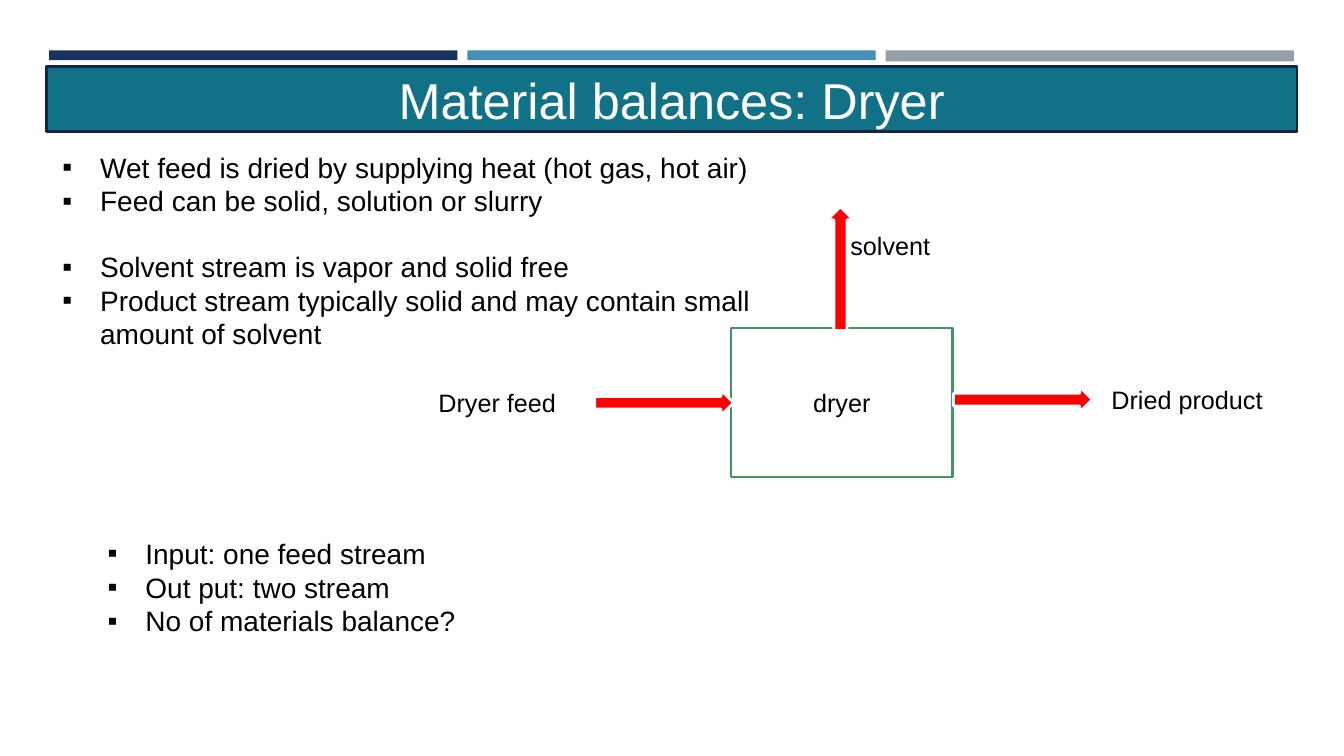
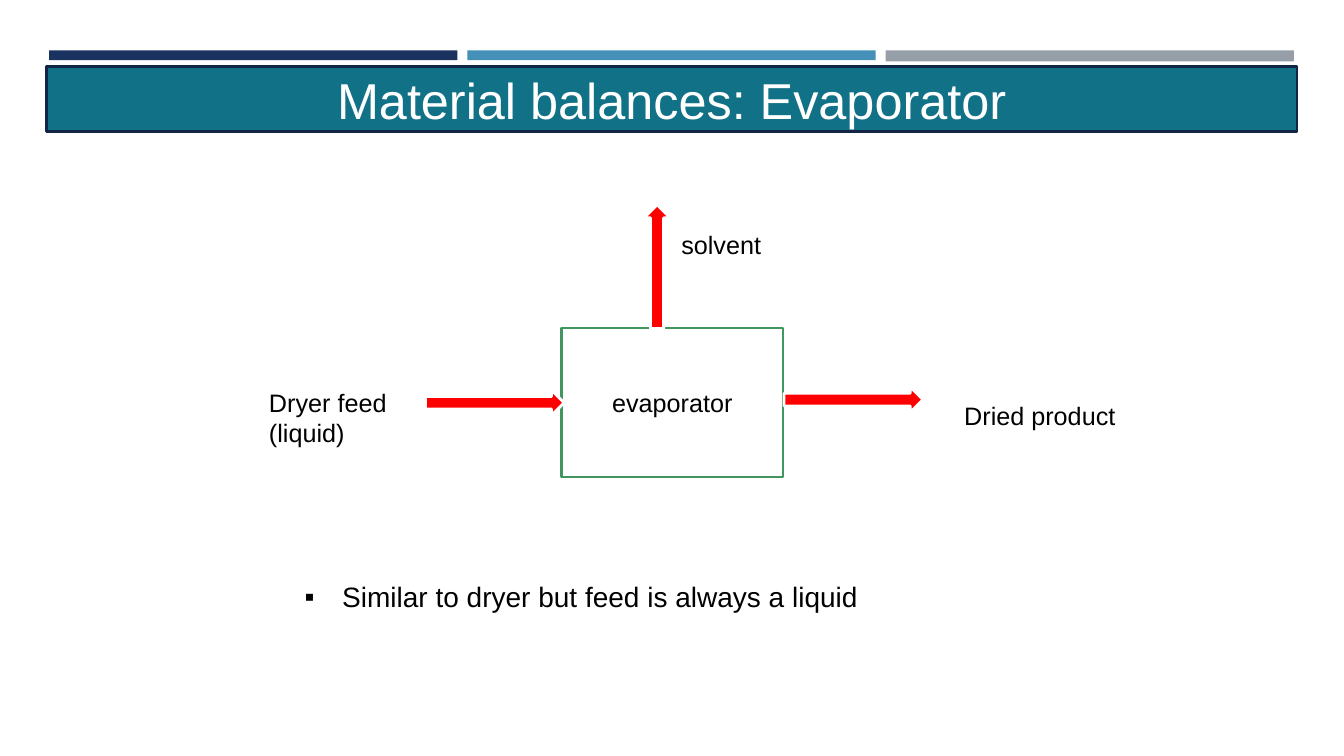
import pptx
import pptx.util
import pptx.dml.color
import pptx.enum.shapes
import pptx.enum.text
import pptx.oxml
import pptx.oxml.ns
from lxml import etree

Cm, Pt = pptx.util.Cm, pptx.util.Pt
SHAPE = pptx.enum.shapes.MSO_SHAPE
ALIGN = pptx.enum.text.PP_ALIGN
ANCHOR = pptx.enum.text.MSO_ANCHOR
FONT = "Arial"
COLORS = {
    "navy": "1A3260", "blue": "4590B8", "gray": "969FA7",
    "teal": "117186", "title edge": "132547", "unit edge": "42955F",
    "stream": "FF0000", "white": "FFFFFF", "text": "000000",
}
BANDS = [("navy", 0.25), ("blue", 0.25), ("gray", 0.28)]  # colour, height
BAND_LEFT, BAND_TOP, BAND_WIDTH, BAND_PITCH = 1.24, 1.27, 10.29, 10.54
TITLE_BOX = (1.17, 1.68, 31.52, 1.63)
UNIT_TOP, UNIT_WIDTH, UNIT_HEIGHT = 8.26, 5.59, 3.76
LAYOUTS = {1: 1, 2: 3}  # number of lists: layout with as many bodies

# Horizontal places in a diagram are measured from the left of its unit;
# a list holds its box, its lines and the lines that follow a gap.
SLIDES = [
    {
        "title": "Material balances: Dryer",
        "unit": "dryer",
        "unit_left": 18.42,
        "vapor_arrow": (2.43, 5.21),
        "labels": [
            (["Dryer feed"], (-7.62, 9.63, 3.91, 1.02)),
            (["solvent"], (2.76, 5.69, 2.8, 1.02)),
            (["Dried product"], (9.34, 9.55, 4.6, 1.02)),
        ],
        "lists": [
            ((1.32, 3.66, 17.91, 5.38), [
                "Wet feed is dried by supplying heat (hot gas, hot air)",
                "Feed can be solid, solution or slurry",
                "Solvent stream is vapor and solid free",
                "Product stream typically solid and may contain small "
                "amount of solvent",
            ], {2}),
            ((2.46, 13.39, 9.6, 2.82), [
                "Input: one feed stream",
                "Out put: two stream",
                "No of materials balance?",
            ], set()),
        ],
    },
    {
        "title": "Material balances: Evaporator",
        "unit": "evaporator",
        "unit_left": 14.15,
        "vapor_arrow": (2.08, 5.16),
        "labels": [
            (["Dryer feed", "(liquid)"], (-7.62, 9.63, 3.91, 1.8)),
            (["solvent"], (2.77, 5.66, 2.8, 1.02)),
            (["Dried product"], (9.9, 9.96, 4.6, 1.02)),
        ],
        "lists": [
            ((7.42, 14.48, 15, 1.12),
             ["Similar to dryer but feed is always a liquid"], set()),
        ],
    },
]


def rgb(name):
    return pptx.dml.color.RGBColor.from_string(COLORS[name])


def place(shape, box):
    shape.left, shape.top, shape.width, shape.height = map(Cm, box)


def paint(shape, fill, edge=None, edge_width=1.75):
    shape.fill.solid()
    shape.fill.fore_color.rgb = rgb(fill)
    if edge:
        shape.line.color.rgb = rgb(edge)
        shape.line.width = Pt(edge_width)
    else:
        shape.line.fill.background()


def add_shape(slide, kind, box, *colors):
    shape = slide.shapes.add_shape(kind, *map(Cm, box))
    shape.shadow.inherit = False
    paint(shape, *colors)
    return shape


def add_bullet(paragraph):
    properties = paragraph._p.get_or_add_pPr()
    properties.set("marL", str(Cm(0.95)))
    properties.set("indent", str(-Cm(0.95)))
    for tag, attribute, value in [("a:buFont", "typeface", FONT),
                                  ("a:buChar", "char", "▪")]:
        etree.SubElement(properties, pptx.oxml.ns.qn(tag)).set(attribute, value)


def write_text(shape, lines, size=18, color="text", align=ALIGN.LEFT,
               anchor=ANCHOR.TOP, bullets=False, gaps=()):
    """Fill the shape; gaps holds the indexes of lines set apart from above."""
    frame = shape.text_frame
    frame.word_wrap = True
    frame.auto_size = pptx.enum.text.MSO_AUTO_SIZE.NONE
    frame.vertical_anchor = anchor
    for index, line in enumerate(lines):
        paragraph = frame.add_paragraph() if index else frame.paragraphs[0]
        if bullets:
            add_bullet(paragraph)
        paragraph.alignment = align
        paragraph.line_spacing = 1.0
        paragraph.space_before = Pt(23 if index in gaps else 0)
        run = paragraph.add_run()
        run.text = line
        run.font.name, run.font.size = FONT, Pt(size)
        run.font.color.rgb = rgb(color)


def add_bands_to_master(prs, slide):
    """Draw the bands on a slide, then move them behind the master's parts."""
    for column, (color, height) in enumerate(BANDS):
        left = BAND_LEFT + column * BAND_PITCH
        band = add_shape(slide, SHAPE.RECTANGLE,
                         (left, BAND_TOP, BAND_WIDTH, height), color)
        prs.slide_master.shapes.element.insert(2 + column, band.element)


def add_diagram(slide, content):
    left = content["unit_left"]
    unit = add_shape(slide, SHAPE.RECTANGLE,
                     (left, UNIT_TOP, UNIT_WIDTH, UNIT_HEIGHT),
                     "white", "unit edge")
    write_text(unit, [content["unit"]], align=ALIGN.CENTER,
               anchor=ANCHOR.MIDDLE)
    vapor_offset, vapor_top = content["vapor_arrow"]
    for kind, offset, top, width, height in [
        (SHAPE.UP_ARROW, vapor_offset, vapor_top, 0.66, 3.12),
        (SHAPE.RIGHT_ARROW, -3.43, 9.83, 3.5, 0.64),
        (SHAPE.RIGHT_ARROW, 5.61, 9.75, 3.5, 0.64),
    ]:
        add_shape(slide, kind, (left + offset, top, width, height),
                  "stream", "white", 2)
    for lines, (offset, *rest) in content["labels"]:
        label = slide.shapes.add_textbox(*map(Cm, (left + offset, *rest)))
        write_text(label, lines)


def add_slide(prs, content):
    layout = prs.slide_layouts[LAYOUTS[len(content["lists"])]]
    slide = prs.slides.add_slide(layout)
    title, *bodies = slide.placeholders
    place(title, TITLE_BOX)
    paint(title, "teal", "title edge")
    write_text(title, [content["title"]], size=36, color="white",
               align=ALIGN.CENTER, anchor=ANCHOR.MIDDLE)
    for body, (box, lines, gaps) in zip(bodies, content["lists"]):
        place(body, box)
        write_text(body, lines, size=20, bullets=True, gaps=gaps)
    add_diagram(slide, content)
    return slide


def main():
    prs = pptx.Presentation()
    prs.slide_width, prs.slide_height = Cm(33.87), Cm(19.05)
    slides = [add_slide(prs, content) for content in SLIDES]
    add_bands_to_master(prs, slides[0])
    prs.save("out.pptx")


if __name__ == "__main__":
    main()
